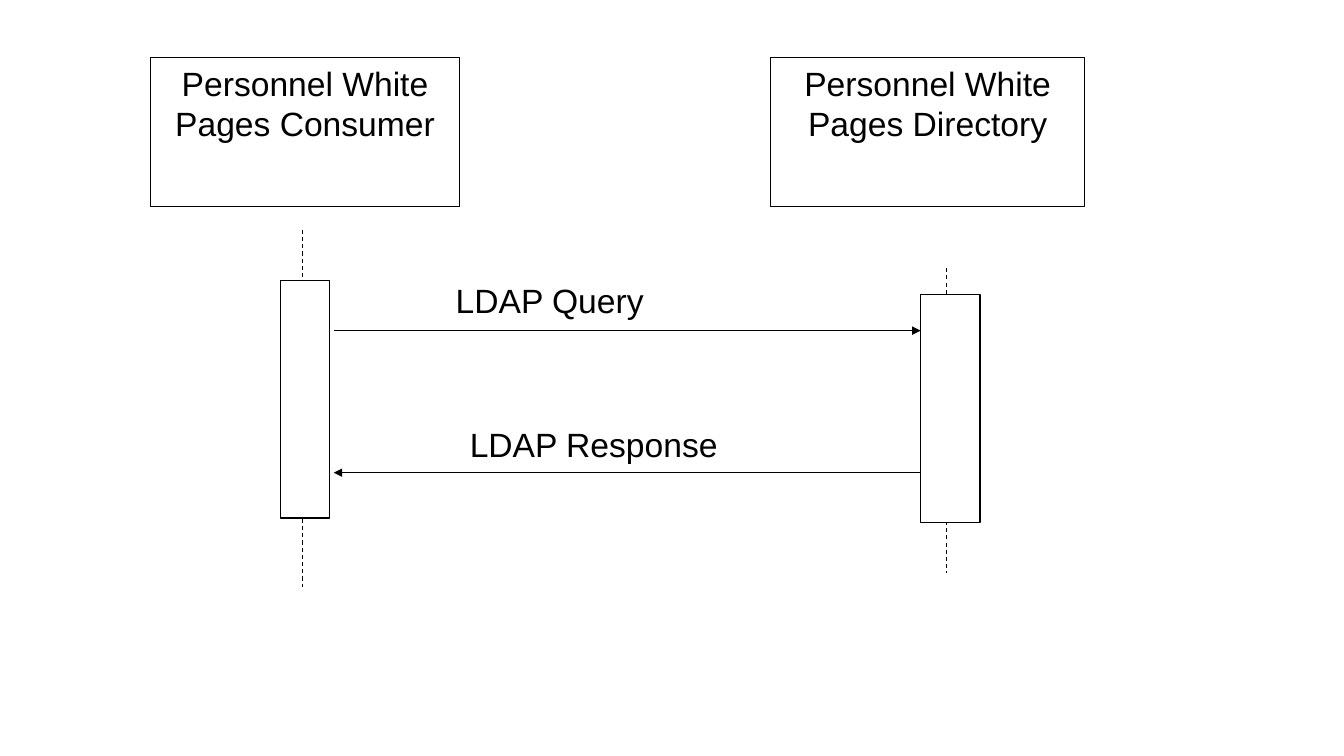
from pptx import Presentation
from pptx.dml.color import RGBColor
from pptx.enum.dml import MSO_LINE_DASH_STYLE as Dash
from pptx.enum.shapes import MSO_CONNECTOR as Connector, MSO_SHAPE as Shape
from pptx.enum.text import MSO_ANCHOR as Anchor, PP_ALIGN as Align
from pptx.oxml.ns import qn
from pptx.util import Inches, Pt
from lxml.etree import SubElement

BLACK, WHITE = "000000", "FFFFFF"
FONT = {"name": "Arial", "size": Pt(24)}


def color(code):
    return RGBColor.from_string(code)


def write(frame, text, align, inset_x=0, inset_y=0):
    layout = {
        "word_wrap": True, "vertical_anchor": Anchor.TOP,
        "margin_left": Inches(inset_x), "margin_right": Inches(inset_x),
        "margin_top": Inches(inset_y), "margin_bottom": Inches(inset_y),
    }
    for name, value in layout.items():
        setattr(frame, name, value)
    para = frame.paragraphs[0]
    para.alignment = align
    span = para.add_run()
    span.text = text
    for name, value in FONT.items():
        setattr(span.font, name, value)
    span.font.color.rgb = color(BLACK)


def outline(line):
    line.color.rgb = color(BLACK)
    line.width = Pt(0.75)


def add_box(page, box, text=None):
    shape = page.shapes.add_shape(Shape.RECTANGLE, *map(Inches, box))
    shape.shadow.inherit = False
    shape.fill.solid()
    shape.fill.fore_color.rgb = color(WHITE)
    outline(shape.line)
    if text:
        write(shape.text_frame, text, Align.CENTER, 0.1, 0.05)


def add_line(page, start, end, dashed=False, arrow=False):
    line = page.shapes.add_connector(Connector.STRAIGHT, *map(Inches, start + end))
    outline(line.line)
    if dashed:
        line.line.dash_style = Dash.DASH
    properties = line._element.spPr
    if arrow:
        SubElement(properties.find(qn("a:ln")), qn("a:tailEnd"), type="triangle")
    SubElement(properties, qn("a:effectLst"))


def add_participant(page, header, name, lifeline, activation):
    """Header box, dashed lifeline (x, top, bottom) and activation bar."""
    x, top, bottom = lifeline
    add_box(page, header, name)
    add_line(page, (x, top), (x, bottom), dashed=True)
    add_box(page, activation)


def add_message(page, start_x, end_x, y, label, label_box):
    """Arrow between activation bars, with its label above."""
    add_line(page, (start_x, y), (end_x, y), arrow=True)
    caption = page.shapes.add_textbox(*map(Inches, label_box))
    write(caption.text_frame, label, Align.LEFT)


deck = Presentation()
deck.slide_width, deck.slide_height = Inches(13.33), Inches(7.5)
page = deck.slides.add_slide(deck.slide_layouts[6])

# Participants
add_participant(page, (1.49, 0.57, 3.07, 1.48), "Personnel White Pages Consumer",
                (3, 2.28, 5.82), (2.78, 2.78, 0.49, 2.36))
add_participant(page, (7.64, 0.57, 3.12, 1.48), "Personnel White Pages Directory",
                (9.39, 2.66, 5.68), (9.13, 2.92, 0.59, 2.26))

# Messages
CONSUMER_X, DIRECTORY_X = 3.31, 9.13
add_message(page, CONSUMER_X, DIRECTORY_X, 3.28, "LDAP Query", (4.52, 2.78, 3.54, 0.79))
add_message(page, DIRECTORY_X, CONSUMER_X, 4.69, "LDAP Response", (4.66, 4.21, 3.54, 0.79))

deck.save("out.pptx")
